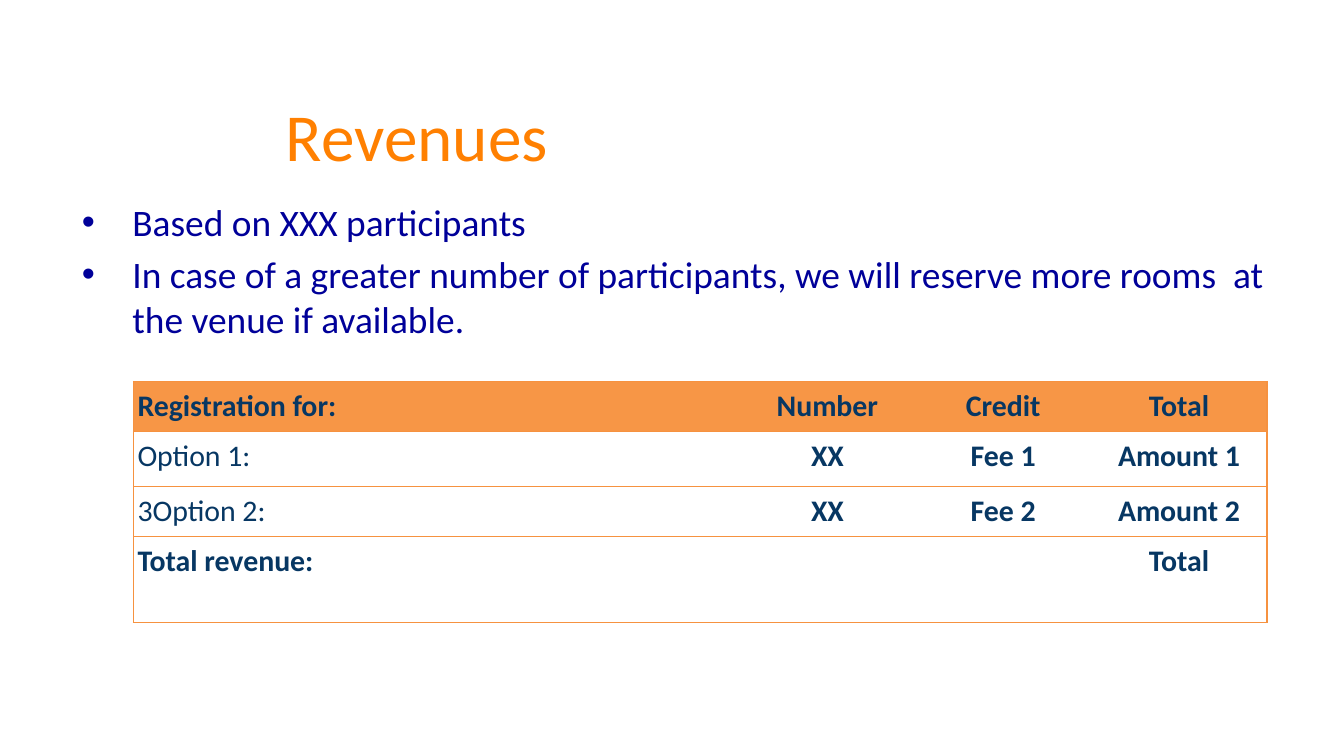
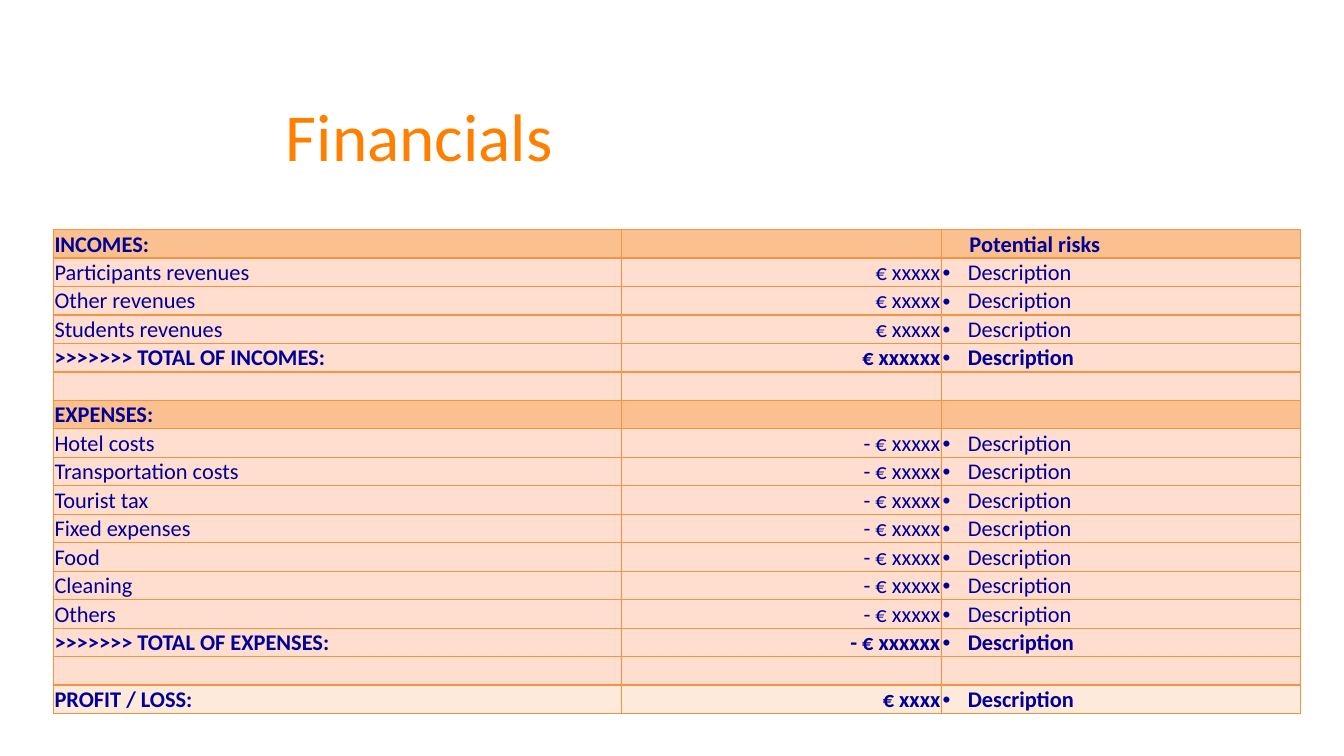
"""Build the revenue and financial overview slides."""
from lxml import etree
from pptx import Presentation
from pptx.dml.color import RGBColor
from pptx.enum.text import MSO_ANCHOR, MSO_AUTO_SIZE, PP_ALIGN
from pptx.oxml.ns import qn
from pptx.util import Pt

LEFT, CENTER, RIGHT = PP_ALIGN.LEFT, PP_ALIGN.CENTER, PP_ALIGN.RIGHT
TOP, MIDDLE, BOTTOM = MSO_ANCHOR.TOP, MSO_ANCHOR.MIDDLE, MSO_ANCHOR.BOTTOM
NO_FIT = MSO_AUTO_SIZE.NONE

FONT = "Calibri"
TITLE_ORANGE = RGBColor(0xFF, 0x80, 0x01)
LINE_ORANGE = RGBColor(0xF6, 0x92, 0x40)
HEADER_ORANGE = RGBColor(0xF7, 0x96, 0x46)
SECTION_ORANGE = RGBColor(0xFA, 0xC0, 0x90)
ROW_PEACH = RGBColor(0xFF, 0xDD, 0xCF)
RESULT_CREAM = RGBColor(0xFD, 0xEA, 0xDA)
BLUE = RGBColor(0x00, 0x00, 0x99)
NAVY = RGBColor(0x07, 0x37, 0x63)
PLAIN_TABLE = "{2D5ABB26-0587-4C30-8999-92F81FD0307C}"
TITLE_ONLY, TITLE_BODY = 5, 1


class Deck:
    """Hold the style and the current slide."""

    def __init__(self):
        self.prs = Presentation()
        self.prs.slide_width, self.prs.slide_height = Pt(720), Pt(405)
        self.s = None

    def place(self, sp, x, y, w, h, anchor):
        sp.left, sp.top, sp.width, sp.height = Pt(x), Pt(y), Pt(w), Pt(h)
        tf = sp.text_frame
        tf.word_wrap, tf.auto_size, tf.vertical_anchor = True, NO_FIT, anchor
        return tf

    def run(self, p, text, size, color, bold=False):
        r = p.add_run()
        r.text = text
        r.font.name, r.font.size, r.font.bold = FONT, Pt(size), bold
        r.font.color.rgb = color

    def slide(self, layout, title):
        self.s = self.prs.slides.add_slide(self.prs.slide_layouts[layout])
        tf = self.place(self.s.shapes.title, 146, 41.8, 539.5, 60.5, MIDDLE)
        p = tf.paragraphs[0]
        p.alignment = LEFT
        self.run(p, title, 36, TITLE_ORANGE)

    def bullets(self, items):
        tf = self.place(self.s.placeholders[1], 36.7, 103, 649.5, 296, TOP)
        for i, text in enumerate(items):
            p = tf.add_paragraph() if i else tf.paragraphs[0]
            p.space_before = Pt(4 if i else 0)
            self.run(p, text, 20, BLUE)

    def border(self, cell, sides):
        tcPr = cell._tc.get_or_add_tcPr()
        for side in sides:
            ln = etree.SubElement(tcPr, qn(f"a:ln{side}"), w=str(Pt(0.75)))
            fill = etree.SubElement(ln, qn("a:solidFill"))
            etree.SubElement(fill, qn("a:srgbClr"), val=str(LINE_ORANGE))

    def indent(self, p, left, bullet=False):
        pPr = p._p.get_or_add_pPr()
        pPr.set("marL", str(Pt(left)))
        pPr.set("indent", str(Pt(-left if bullet else 0)))
        if bullet:
            etree.SubElement(pPr, qn("a:buFont"), typeface="Arial")
            etree.SubElement(pPr, qn("a:buChar"), char="•")

    def cell(self, cell, text, size, color, bold, align, fill, insets, anchor, sides):
        self.border(cell, sides)
        if fill is None:
            cell.fill.background()
        else:
            cell.fill.solid()
            cell.fill.fore_color.rgb = fill
        cell.margin_left = cell.margin_right = Pt(insets[0])
        cell.margin_top, cell.margin_bottom = Pt(insets[1]), Pt(insets[2])
        cell.vertical_anchor = anchor
        p = cell.text_frame.paragraphs[0]
        p.alignment = align
        if text:
            self.run(p, text, size, color, bold)
        else:
            etree.SubElement(p._p, qn("a:endParaRPr"), sz=str(size * 100))
        return p

    def table(self, x, y, widths, heights):
        frame = self.s.shapes.add_table(len(heights), len(widths), Pt(x), Pt(y),
                                        Pt(sum(widths)), Pt(sum(heights)))
        t = frame.table
        t.first_row = t.horz_banding = False
        t._tbl.tblPr.find(qn("a:tableStyleId")).text = PLAIN_TABLE
        for col, w in zip(t.columns, widths):
            col.width = Pt(w)
        for row, h in zip(t.rows, heights):
            row.height = Pt(h)
        return t


def revenues(deck):
    deck.slide(TITLE_BODY, "Revenues")
    deck.bullets([
        "Based on XXX participants",
        "In case of a greater number of participants, we will reserve more rooms  at the venue if available.",
    ])
    rows = [
        ("Registration for:", "Number", "Credit", "Total"),
        ("Option 1:", "XX", "Fee 1", "Amount 1"),
        ("3Option 2:", "XX", "Fee 2", "Amount 2"),
        ("Total revenue:", "", "", "Total"),
    ]
    t = deck.table(71.5, 204.3, [324.7] + [94.2] * 3, [26.8, 29.5, 26.8, 46.2])
    for i, row in enumerate(rows):
        for j, text in enumerate(row):
            sides = {0: "LTB", 3: "RTB"}.get(j, "TB")
            deck.cell(t.cell(i, j), text, 16, NAVY, j > 0 or i in (0, 3),
                      CENTER if j else LEFT, None if i else HEADER_ORANGE,
                      (2.2, 3.6, 3.6), TOP, sides)


def financials(deck):
    deck.slide(TITLE_ONLY, "Financials")
    note = "Description"
    income, cost = "€ xxxxx", "- € xxxxx"
    blank = ("", "", "")
    incomes = ["Participants revenues", "Other revenues", "Students revenues"]
    costs = ["Hotel costs", "Transportation costs", "Tourist tax",
             "Fixed expenses", "Food", "Cleaning", "Others"]
    rows = [
        ("INCOMES:", "", "Potential risks"),
        *[(name, income, note) for name in incomes],
        (">>>>>>> TOTAL OF INCOMES:", "€ xxxxxx", note),
        blank,
        ("EXPENSES:", "", ""),
        *[(name, cost, note) for name in costs],
        (">>>>>>> TOTAL OF EXPENSES:", "- € xxxxxx", note),
        blank,
        ("PROFIT / LOSS:", "€ xxxx", note),
    ]
    fills = {"INCOMES:": SECTION_ORANGE, "EXPENSES:": SECTION_ORANGE,
             "PROFIT / LOSS:": RESULT_CREAM}
    t = deck.table(28.6, 123, [304.4, 171.4, 192.4], [15.25] * len(rows))
    for i, row in enumerate(rows):
        for j, text in enumerate(row):
            p = deck.cell(t.cell(i, j), text, 12, BLUE, row[0].endswith(":"),
                          RIGHT if j == 1 else LEFT, fills.get(row[0], ROW_PEACH),
                          (0.6, 0.6, 0), BOTTOM, "LRTB")
            if j == 2 and text:
                deck.indent(p, 13.5 if text == note else 14.4, text == note)


def main():
    deck = Deck()
    revenues(deck)
    financials(deck)
    deck.prs.save("out.pptx")


if __name__ == "__main__":
    main()
